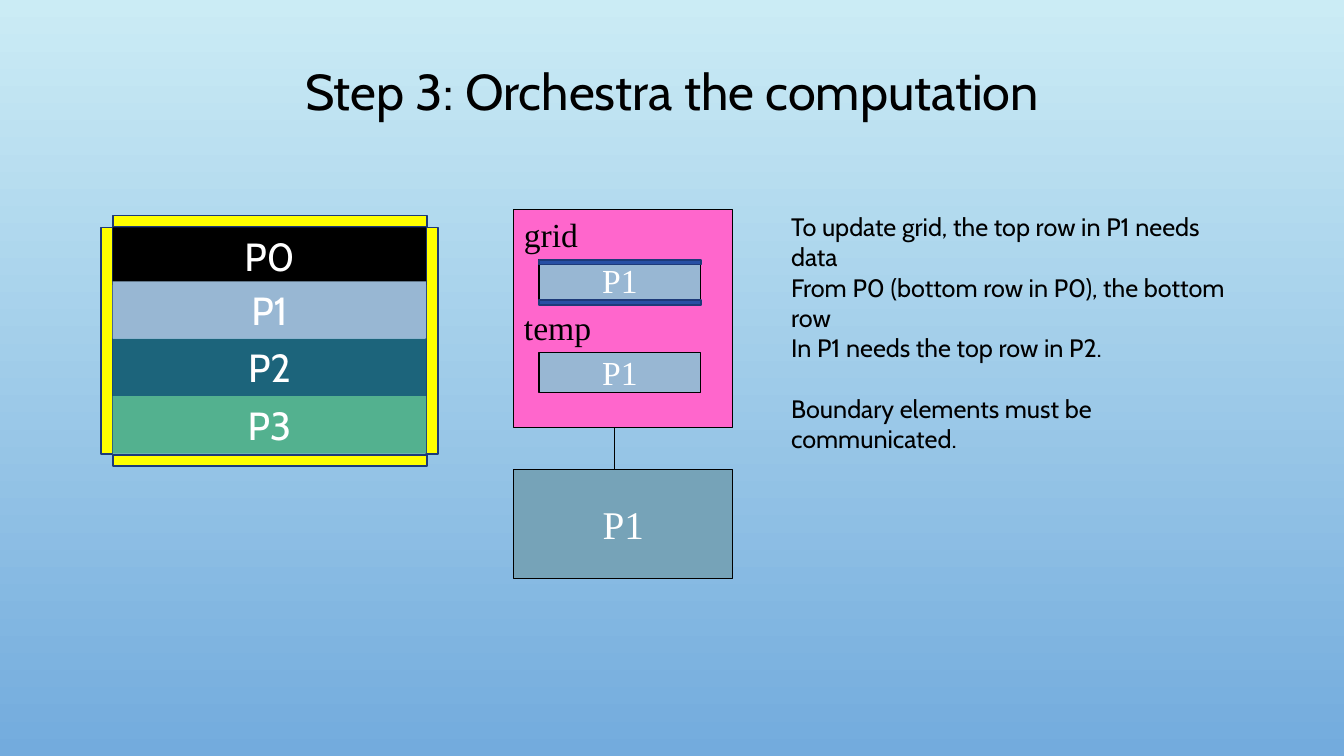
from lxml.etree import SubElement
from pptx import Presentation
from pptx.dml.color import RGBColor
from pptx.enum.shapes import MSO_CONNECTOR, MSO_SHAPE
from pptx.enum.text import MSO_ANCHOR, MSO_AUTO_SIZE, PP_ALIGN
from pptx.oxml.ns import qn
from pptx.util import Pt

SANS, SERIF = "Cabin", "Times New Roman"
BLACK, WHITE, YELLOW, PINK = "000000", "FFFFFF", "FFFF00", "FF66CC"
NAVY, BLUE, PALE, SLATE = "1D3A79", "274FA4", "98B7D3", "76A3B8"


def rgb(value):
    return RGBColor.from_string(value)


class Deck:
    """Holds the presentation, its current slide and the drawing style."""

    def __init__(self, width, height):
        self.prs = Presentation()
        self.prs.slide_width, self.prs.slide_height = Pt(width), Pt(height)
        self.s = self.prs.slides.add_slide(self.prs.slide_layouts[5])

    def background(self, top, bottom):
        fill = self.s.background.fill
        fill.gradient()
        fill.gradient_angle = 270
        for stop, color in zip(fill.gradient_stops, (top, bottom)):
            stop.color.rgb = rgb(color)

    def label(self, sp, text, size, font, color=BLACK, align=PP_ALIGN.CENTER,
              anchor=MSO_ANCHOR.MIDDLE, wrap=False):
        """Put formatted text into a shape and return its text frame."""
        tf = sp.text_frame
        tf.text = text
        tf.word_wrap = wrap
        tf.vertical_anchor = anchor
        tf.auto_size = MSO_AUTO_SIZE.NONE
        for p in tf.paragraphs:
            p.alignment = align
            for r in p.runs:
                r.font.size, r.font.name = Pt(size), font
                r.font.color.rgb = rgb(color)
        return tf

    def title(self, text, x, y, w, h):
        sp = self.s.shapes.title
        sp.left, sp.top, sp.width, sp.height = Pt(x), Pt(y), Pt(w), Pt(h)
        tf = self.label(sp, text, 36, SANS, wrap=True)
        tf.paragraphs[0].line_spacing = 0.9

    def rect(self, x, y, w, h, fill, line=None, weight=0.75):
        sp = self.s.shapes.add_shape(MSO_SHAPE.RECTANGLE, Pt(x), Pt(y), Pt(w), Pt(h))
        sp.shadow.inherit = False
        sp.fill.solid()
        sp.fill.fore_color.rgb = rgb(fill)
        if line:
            sp.line.color.rgb = rgb(line)
            sp.line.width = Pt(weight)
        else:
            sp.line.fill.background()
        return sp

    def text(self, x, y, w, h, text, size, font, **style):
        sp = self.s.shapes.add_textbox(Pt(x), Pt(y), Pt(w), Pt(h))
        return self.label(sp, text, size, font, **style)

    def line(self, x1, y1, x2, y2, color=BLACK, weight=0.75):
        cx = self.s.shapes.add_connector(
            MSO_CONNECTOR.STRAIGHT, Pt(x1), Pt(y1), Pt(x2), Pt(y2))
        cx.line.color.rgb = rgb(color)
        cx.line.width = Pt(weight)
        SubElement(cx._element.spPr, qn("a:effectLst"))


def draw_partition(deck):
    """Four row blocks framed by the yellow boundary cells."""
    x, w, edge = 80.5, 224, 8
    for y in (325, 154):
        deck.rect(x, y, w + 0.5, edge, YELLOW, NAVY, 1.25)
    for left in (x - edge - 0.5, x + w):
        deck.rect(left, 162.5, edge + 0.5, 162, YELLOW, NAVY, 1.25)
    row_h = 41
    rows = (("P0", BLACK), ("P1", PALE), ("P2", "1C647B"), ("P3", "53B18F"))
    for i, (name, color) in enumerate(rows):
        y = 201 + (i - 1) * row_h if i else 162.5
        sp = deck.rect(x, y, w, row_h, color)
        deck.label(sp, name, 28, SANS, WHITE, anchor=MSO_ANCHOR.TOP, wrap=True)


def draw_process(deck):
    """Processor P1 with its memory, which holds both arrays."""
    x, w = 367, 156.5
    processor = deck.rect(x, 335.5, w, 78, SLATE, BLACK)
    deck.label(processor, "P1", 28, SERIF, WHITE)
    deck.rect(x, 149.5, w, 156, PINK, BLACK)
    block_x, block_w, block_h = x + 18, 115.5, 29
    for y, name, label_w in ((149.5, "grid", 53), (215.5, "temp", 62.5)):
        sp = deck.rect(block_x, y + 36, block_w, block_h, PALE, BLACK)
        deck.label(sp, "P1", 24, SERIF, WHITE)
        deck.text(x, y, label_w, 36, name, 24, SERIF)
    deck.line(439, 305.5, 439, 335.5)
    for y in (185.5, 185.5 + block_h):
        deck.rect(block_x, y, block_w, 3.5, BLUE, NAVY, 1.25)


def draw_notes(deck):
    lines = ("To update grid, the top row in P1 needs data",
             "From P0 (bottom row in P0), the bottom row",
             "In P1 needs the top row in P2.",
             "Boundary elements must be communicated.")
    tf = deck.text(558, 147.5, 335, 180, "\n".join(lines), 18, SANS,
                   align=PP_ALIGN.LEFT, anchor=MSO_ANCHOR.TOP, wrap=True)
    tf.paragraphs[-1].space_before = Pt(21.8)


def main():
    deck = Deck(960, 540)
    deck.background("CBECF5", "73ABDD")
    deck.title("Step 3: Orchestra the computation", 72, 23, 816, 88.5)
    draw_partition(deck)
    draw_process(deck)
    draw_notes(deck)
    deck.prs.save("out.pptx")


if __name__ == "__main__":
    main()
